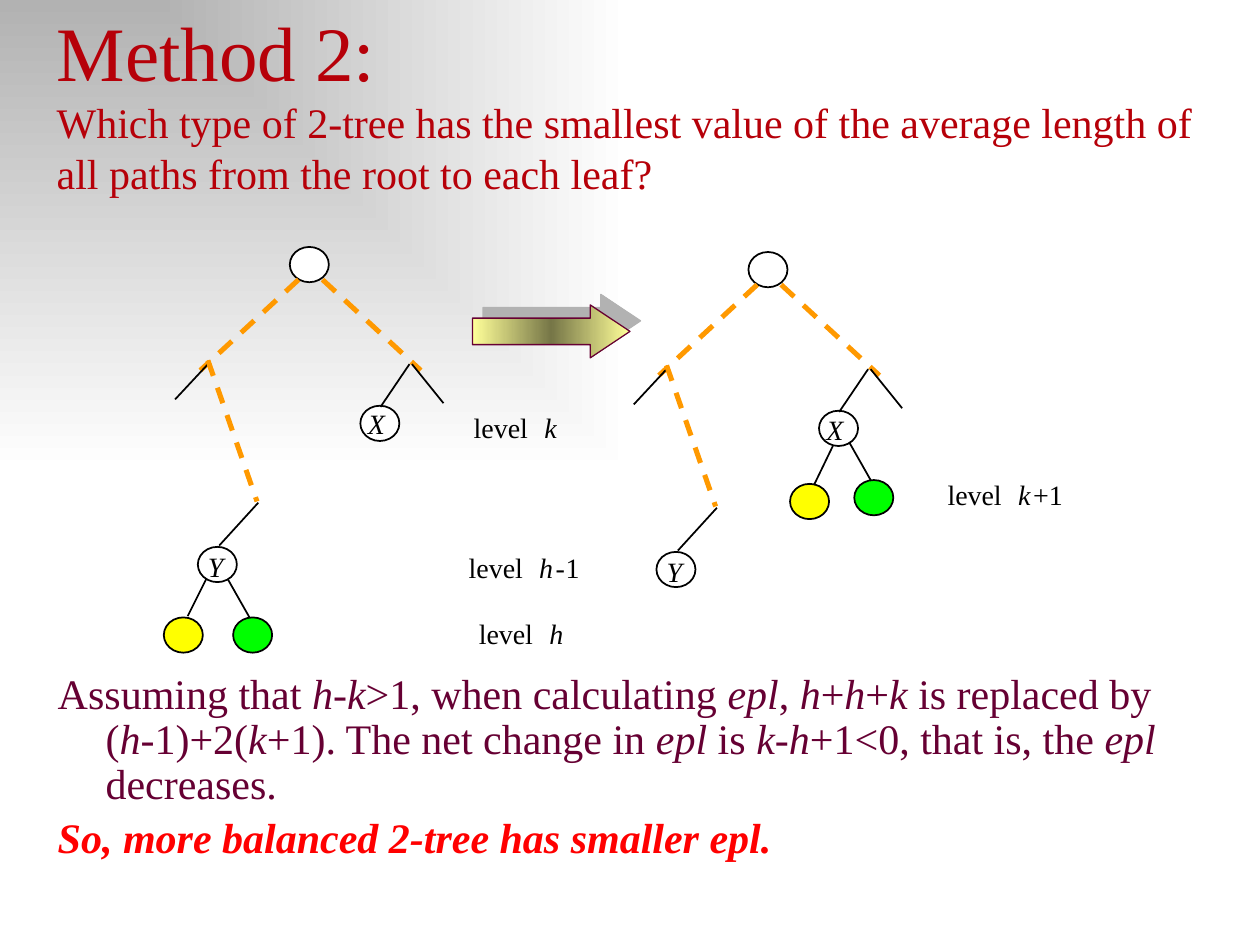
import copy
import math

import lxml.etree
import pptx
import pptx.dml.color
import pptx.enum.dml
import pptx.enum.shapes
import pptx.enum.text
import pptx.oxml
import pptx.oxml.ns
import pptx.util

Inches = pptx.util.Inches
Pt = pptx.util.Pt
qn = pptx.oxml.ns.qn
MSO_SHAPE = pptx.enum.shapes.MSO_SHAPE
AUTO_SIZE = pptx.enum.text.MSO_AUTO_SIZE
ANCHOR = pptx.enum.text.MSO_ANCHOR

COLORS = {
    "title": "B60009", "body": "660033", "accent": "FF0000", "ink": "000000",
    "white": "FFFFFF", "grey": "B2B2B2", "yellow": "FFFF00", "green": "00FF00",
    "dash": "FF9900", "arrow": "FFFF99", "arrow_mid": "767647",
}


def rgb(name):
    return pptx.dml.color.RGBColor.from_string(COLORS[name])


def add_xml(parent, tag, **attrs):
    return lxml.etree.SubElement(parent, qn(tag), attrs)


class Deck:
    font = "Times New Roman"

    def __init__(self, prs):
        self.slide = prs.slides.add_slide(prs.slide_layouts[5])

    def background(self, start, end):
        fill = self.slide.background.fill
        fill.gradient()
        for stop, color in zip(fill.gradient_stops, (start, end)):
            stop.color.rgb = rgb(color)
        grad = self.slide.element.find(".//" + qn("a:gradFill"))
        grad.remove(grad.find(qn("a:lin")))
        shade = add_xml(grad, "a:path", path="rect")
        add_xml(shade, "a:fillToRect", r="100000", b="100000")

    def run(self, p, text, size, color, italic=False, bold=False):
        r = p.add_run()
        r.text = text
        r.font.name = self.font
        r.font.size = Pt(size)
        r.font.italic = italic
        r.font.bold = bold
        r.font.color.rgb = rgb(color)

    def title(self, box, heading, question):
        sp = self.slide.shapes.title
        sp.left, sp.top, sp.width, sp.height = map(Inches, box)
        tf = sp.text_frame
        tf.auto_size = AUTO_SIZE.NONE
        tf.word_wrap = True
        tf.vertical_anchor = ANCHOR.BOTTOM
        p = tf.paragraphs[0]
        p.alignment = pptx.enum.text.PP_ALIGN.LEFT
        self.run(p, heading, 44, "title")
        p.add_line_break()
        self.run(p, question, 24, "title")

    def body(self, box, paragraphs):
        tf = self.slide.shapes.add_textbox(*map(Inches, box)).text_frame
        tf.word_wrap = True
        for i, runs in enumerate(paragraphs):
            p = tf.add_paragraph() if i else tf.paragraphs[0]
            p.line_spacing = 0.9
            p.space_before = Pt(4.8 if i else 0)
            indent = Inches(0.38)
            pPr = p._p.get_or_add_pPr()
            pPr.set("marL", str(indent))
            pPr.set("indent", str(-indent))
            for text, color, italic, bold in runs:
                self.run(p, text, 24, color, italic, bold)

    def label(self, x, y, text, width, italic=False):
        box = map(Inches, (x, y, width, 0.32))
        tf = self.slide.shapes.add_textbox(*box).text_frame
        tf.margin_left = tf.margin_right = tf.margin_top = tf.margin_bottom = 0
        tf.word_wrap = False
        tf.auto_size = AUTO_SIZE.SHAPE_TO_FIT_TEXT
        self.run(tf.paragraphs[0], text, 16, "ink", italic)

    def node(self, x, y, color="white"):
        box = map(Inches, (x, y, 0.31, 0.28))
        sp = self.slide.shapes.add_shape(MSO_SHAPE.OVAL, *box)
        sp.shadow.inherit = False
        sp.fill.solid()
        sp.fill.fore_color.rgb = rgb(color)
        sp.line.color.rgb = rgb("ink")
        sp.line.width = Pt(1)

    def edge(self, x1, y1, x2, y2):
        ends = map(Inches, (x1, y1, x2, y2))
        straight = pptx.enum.shapes.MSO_CONNECTOR.STRAIGHT
        line = self.slide.shapes.add_connector(straight, *ends)
        line.line.color.rgb = rgb("ink")
        line.line.width = Pt(1)
        add_xml(line._element.spPr, "a:effectLst")

    def dashes(self, x1, y1, x2, y2, dash=0.14, gap=0.1, half=0.02):
        group = self.slide.shapes.add_group_shape()
        length = math.dist((x1, y1), (x2, y2))
        ux, uy = (x2 - x1) / length, (y2 - y1) / length
        for i in range(math.ceil(length / (dash + gap))):
            start = i * (dash + gap)
            end = min(start + dash, length)
            corners = [(Inches(x1 + ux * t - uy * side), Inches(y1 + uy * t + ux * side))
                       for t, side in ((start, half), (start, -half),
                                       (end, -half), (end, half))]
            outline = group.shapes.build_freeform(*corners[0])
            outline.add_line_segments(corners[1:], close=True)
            sp = outline.convert_to_shape()
            sp.shadow.inherit = False
            sp.fill.solid()
            sp.fill.fore_color.rgb = rgb("dash")
            sp.line.fill.background()

    def arrow(self, box):
        sp = self.slide.shapes.add_shape(MSO_SHAPE.RIGHT_ARROW, *map(Inches, box))
        sp.adjustments[0], sp.adjustments[1] = 0.5, 0.75
        sp.line.color.rgb = rgb("body")
        sp.line.width = Pt(0.75)
        sp.fill.gradient()
        sp.fill.gradient_angle = 0
        stops = sp._element.spPr.find(".//" + qn("a:gsLst"))
        middle = copy.deepcopy(stops[0])
        middle.set("pos", "50000")
        stops.insert(1, middle)
        for stop, color in zip(sp.fill.gradient_stops, ("arrow", "arrow_mid", "arrow")):
            stop.color.rgb = rgb(color)
        sp.shadow.inherit = False
        effects = sp._element.spPr.find(qn("a:effectLst"))
        shadow = add_xml(effects, "a:outerShdw", dist=str(Pt(8.5)),
                         dir=str(315 * 60000), algn="ctr", rotWithShape="0")
        add_xml(shadow, "a:srgbClr", val=COLORS["grey"])

    def tree(self, dx, dy, leaves, leaf_edges):
        for x, y in ((2.3, 1.96), (2.86, 3.22), (1.57, 4.34)):
            self.node(x + dx, y + dy)
        for (x, y), color in zip(leaves, ("yellow", "green")):
            self.node(x, y, color)
        root_y, branch_y = 2.22 + dy, 2.94 + dy
        self.dashes(2.37 + dx, root_y, 1.59 + dx, branch_y)
        self.dashes(2.56 + dx, root_y, 3.34 + dx, branch_y)
        for x1, y1, x2, y2 in ((1.66, 2.88, 1.39, 3.17), (3.25, 2.89, 3.02, 3.23),
                               (3.27, 2.89, 3.52, 3.2), (2.05, 3.99, 1.74, 4.33)):
            self.edge(x1 + dx, y1 + dy, x2 + dx, y2 + dy)
        self.dashes(1.65 + dx, 2.86 + dy, 2.04 + dx, 3.98 + dy, dash=0.13)
        for ends in leaf_edges:
            self.edge(*ends)
        self.label(2.92 + dx, 3.23 + dy, "X", 0.27, True)
        self.label(1.65 + dx, 4.36 + dy, "Y", 0.25, True)

    def level(self, x, y, symbol, *tail):
        self.label(x, y, "level", 0.69)
        self.label(x + 0.56, y, symbol, 0.24, True)
        for offset, text in tail:
            self.label(x + offset, y, text, 0.2 * len(text))


def main():
    prs = pptx.Presentation()
    prs.slide_width, prs.slide_height = Inches(10), Inches(7.5)
    deck = Deck(prs)
    deck.background("grey", "white")
    deck.title((0.35, -0.03, 9.45, 1.65), "Method 2: ",
               "Which type of 2-tree has the smallest value of the average length "
               "of all paths from the root to each leaf?")

    pieces = ("Assuming that ", "h", "-", "k", ">1, when calculating ", "epl", ", ",
              "h", "+", "h", "+", "k", " is replaced by (", "h", "-1)+2(", "k",
              "+1). The net change in ", "epl", " is ", "k", "-", "h",
              "+1<0, that is, the ", "epl", " decreases.")
    explanation = [(text, "body", i % 2 == 1, False) for i, text in enumerate(pieces)]
    conclusion = [("So, more balanced 2-tree has smaller epl.", "accent", True, True)]
    deck.body((0.36, 5.29, 8.98, 1.96), (explanation, conclusion))

    deck.tree(0, 0, ((1.3, 4.9), (1.85, 4.9)),
              ((1.64, 4.59, 1.49, 4.89), (1.81, 4.6, 1.98, 4.9)))
    deck.tree(3.64, 0.04, ((6.27, 3.84), (6.78, 3.81)),
              ((6.61, 3.54, 6.46, 3.85), (6.74, 3.51, 6.91, 3.81)))

    deck.level(3.76, 3.26, "k")
    deck.level(3.72, 4.37, "h", (0.69, "-"), (0.77, "1"))
    deck.level(3.8, 4.89, "h")
    deck.level(7.52, 3.79, "k", (0.68, "+1"))
    deck.arrow((3.75, 2.42, 1.25, 0.42))
    prs.save("out.pptx")


if __name__ == "__main__":
    main()
